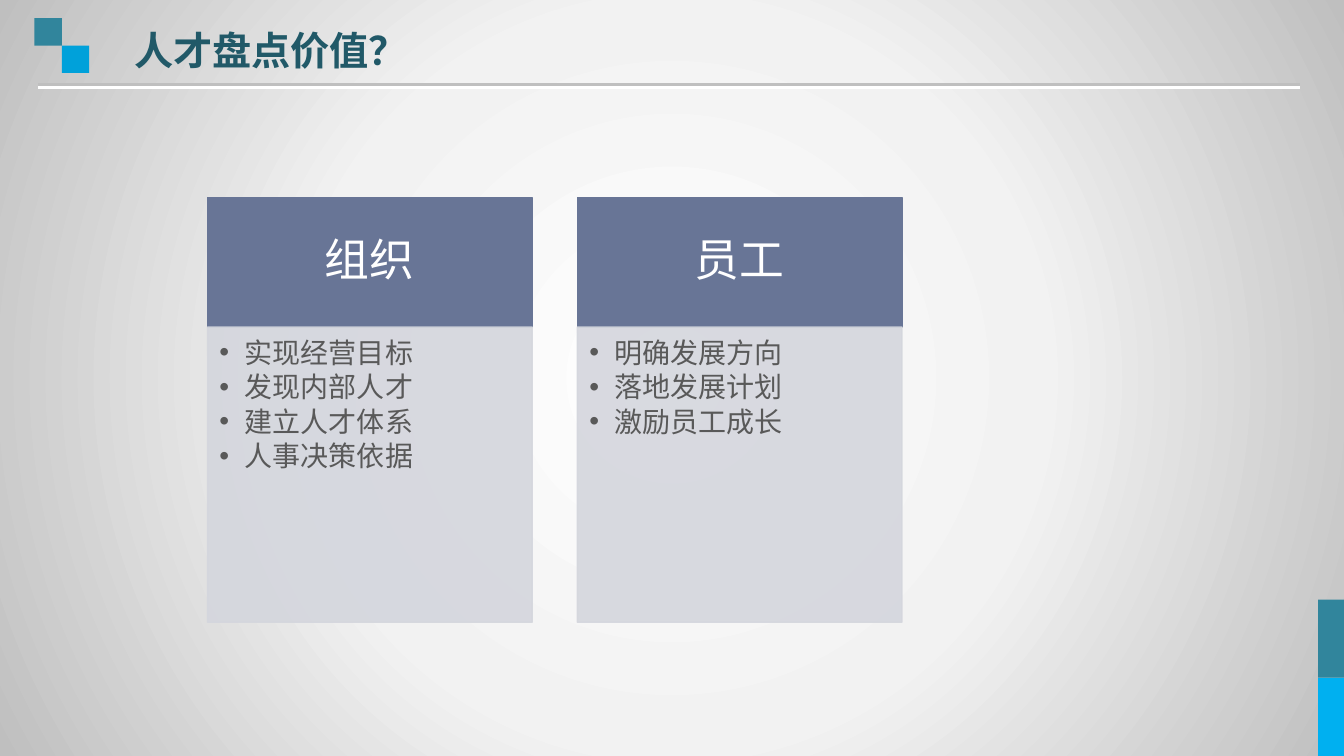
from lxml import etree
from pptx import Presentation
from pptx.dml.color import RGBColor
from pptx.enum.shapes import MSO_CONNECTOR, MSO_SHAPE
from pptx.enum.text import MSO_ANCHOR, MSO_AUTO_SIZE, PP_ALIGN
from pptx.oxml import parse_xml
from pptx.oxml.ns import nsdecls, qn
from pptx.util import Cm, Pt

RECT, STRAIGHT = MSO_SHAPE.RECTANGLE, MSO_CONNECTOR.STRAIGHT
TOP, MIDDLE = MSO_ANCHOR.TOP, MSO_ANCHOR.MIDDLE
LEFT, CENTER = PP_ALIGN.LEFT, PP_ALIGN.CENTER
NO_FIT = MSO_AUTO_SIZE.NONE

FONT = "Noto Sans CJK SC"
COLORS = {
    "teal": "31859C", "sky": "00B0F0", "blue": "00A1DA", "title": "215968",
    "head": "687596", "panel": "D4D6DD", "text": "595959", "white": "FFFFFF",
    "pale": "F2F2F2", "grey": "BFBFBF",
}
PANELS = [
    ("组织", ["实现经营目标", "发现内部人才", "建立人才体系", "人事决策依据"]),
    ("员工", ["明确发展方向", "落地发展计划", "激励员工成长"]),
]


def rgb(name):
    return RGBColor.from_string(COLORS[name])


def add_run(p, text, size, color, bold=False):
    r = p.add_run()
    r.text = text
    r.font.size, r.font.bold, r.font.name = Pt(size), bold, FONT
    r.font.color.rgb = rgb(color)
    etree.SubElement(r.font._element, qn("a:ea"), typeface=FONT)


def set_spacing(p, after):
    """Tight lines, with the space after given in percent of a line."""
    p.line_spacing, p.space_before, p.space_after = 0.9, Pt(0), Pt(0)
    space = p._p.pPr.find(qn("a:spcAft"))
    space.clear()
    etree.SubElement(space, qn("a:spcPct"), val=str(after * 1000))


def set_bullet(p, indent):
    pPr = p._p.get_or_add_pPr()
    pPr.set("marL", str(indent))
    pPr.set("indent", str(-indent))
    etree.SubElement(pPr, qn("a:buFont"), typeface="Arial")
    etree.SubElement(pPr, qn("a:buChar"), char="•")


def place(sp, box, anchor, insets):
    """Move a placeholder to its box (cm) and return its text frame."""
    sp.left, sp.top, sp.width, sp.height = map(Cm, box)
    tf = sp.text_frame
    tf.auto_size, tf.word_wrap, tf.vertical_anchor = NO_FIT, True, anchor
    tf.margin_left, tf.margin_top, tf.margin_right, tf.margin_bottom = map(Cm, insets)
    return tf


def paint(sp, color, opacity=100):
    """Give a shape the same fill and outline."""
    sp.fill.solid()
    sp.fill.fore_color.rgb = rgb(color)
    sp.line.color.rgb = rgb(color)
    sp.line.width = Pt(1)
    if opacity < 100:
        for clr in sp._element.spPr.iter(qn("a:srgbClr")):
            etree.SubElement(clr, qn("a:alpha"), val=str(opacity * 1000))


def add_block(s, x, y, w, h, color):
    sp = s.shapes.add_shape(RECT, Cm(x), Cm(y), Cm(w), Cm(h))
    sp.shadow.inherit = False
    sp.fill.solid()
    sp.fill.fore_color.rgb = rgb(color)
    sp.line.fill.background()


def add_background(s):
    s.background.fill.solid()
    bgPr = s.background._cSld.bg.bgPr
    stops = "".join(
        f'<a:gs pos="{pos * 1000}"><a:srgbClr val="{COLORS[name]}"/></a:gs>'
        for pos, name in [(0, "white"), (48, "pale"), (100, "grey")])
    bgPr.replace(bgPr[0], parse_xml(
        f'<a:gradFill {nsdecls("a")} rotWithShape="1"><a:gsLst>{stops}</a:gsLst>'
        '<a:path path="circle"><a:fillToRect l="50000" t="50000" r="50000" b="50000"/>'
        '</a:path></a:gradFill>'))


def add_header(s, x, y, w):
    # Two diagonal squares
    side = 0.69
    for i, color in enumerate(["teal", "blue"]):
        add_block(s, x + i * side, y + i * side, side, side, color)

    # Title
    tf = place(s.shapes.title, (x + 2.26, y + 0.07, 12.42, 1.45), MIDDLE,
               (0.25, 0.13, 0.25, 0.13))
    p = tf.paragraphs[0]
    p.alignment = LEFT
    add_run(p, "人才盘点价值？", 28, "title", True)

    # Rule with a white edge below
    rule_y = Cm(y + 1.67)
    rule = s.shapes.add_connector(STRAIGHT, Cm(x + 0.1), rule_y, Cm(x + w), rule_y)
    rule.line.color.rgb = rgb("grey")
    rule.line.width = Pt(2.25)
    rule._element.spPr.append(parse_xml(
        f'<a:effectLst {nsdecls("a")}><a:outerShdw dist="{Pt(2)}" dir="5400000" '
        f'algn="t" rotWithShape="0"><a:srgbClr val="{COLORS["white"]}"/>'
        '</a:outerShdw></a:effectLst>'))


def add_corner(s, x, y, w, h):
    for i, color in enumerate(["teal", "sky"]):
        add_block(s, x, y + i * h / 2, w, h / 2, color)


def add_panel(head, body, title, items, x, y, w, h):
    head_h = 3.27
    # Heading
    paint(head, "head")
    tf = place(head, (x, y, w, head_h), MIDDLE, (0.64, 0.36, 0.64, 0.36))
    p = tf.paragraphs[0]
    p.alignment = CENTER
    set_spacing(p, 35)
    add_run(p, title, 32, "white")

    # Bullet list
    paint(body, "panel", 90)
    tf = place(body, (x, y + head_h, w, h - head_h), TOP, (0.3, 0.3, 0.41, 0.43))
    for i, item in enumerate(items):
        p = tf.add_paragraph() if i else tf.paragraphs[0]
        set_bullet(p, Cm(0.64))
        set_spacing(p, 15)
        add_run(p, item, 20, "text")


def main():
    prs = Presentation()
    prs.slide_width, prs.slide_height = Cm(33.87), Cm(19.05)
    s = prs.slides.add_slide(prs.slide_layouts.get_by_name("Comparison"))
    add_background(s)
    add_corner(s, 33.22, 15.11, 0.65, 3.94)
    add_header(s, 0.87, 0.46, 31.9)
    for i, (title, items) in enumerate(PANELS):
        head, body = (s.placeholders[2 * i + k] for k in (1, 2))
        add_panel(head, body, title, items, 5.23 + i * 9.32, 4.97, 8.18, 10.71)
    prs.save("out.pptx")


if __name__ == "__main__":
    main()
